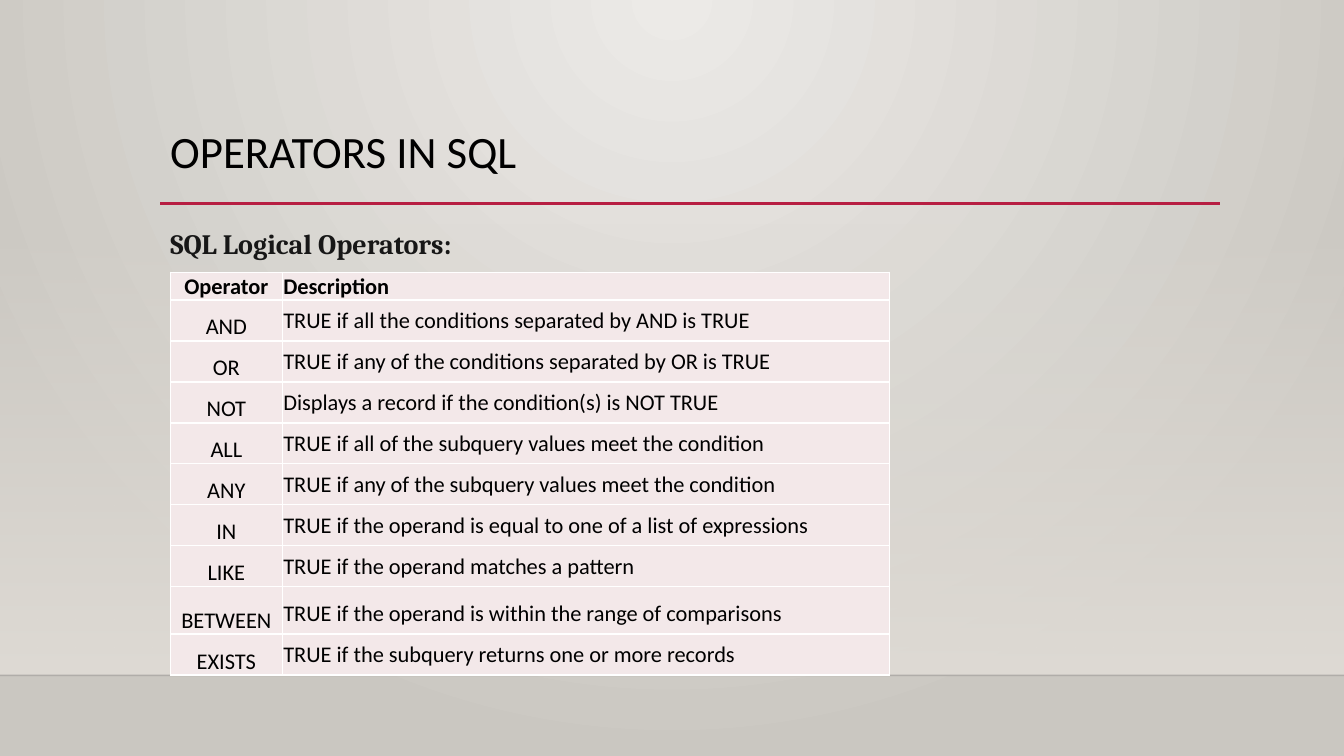
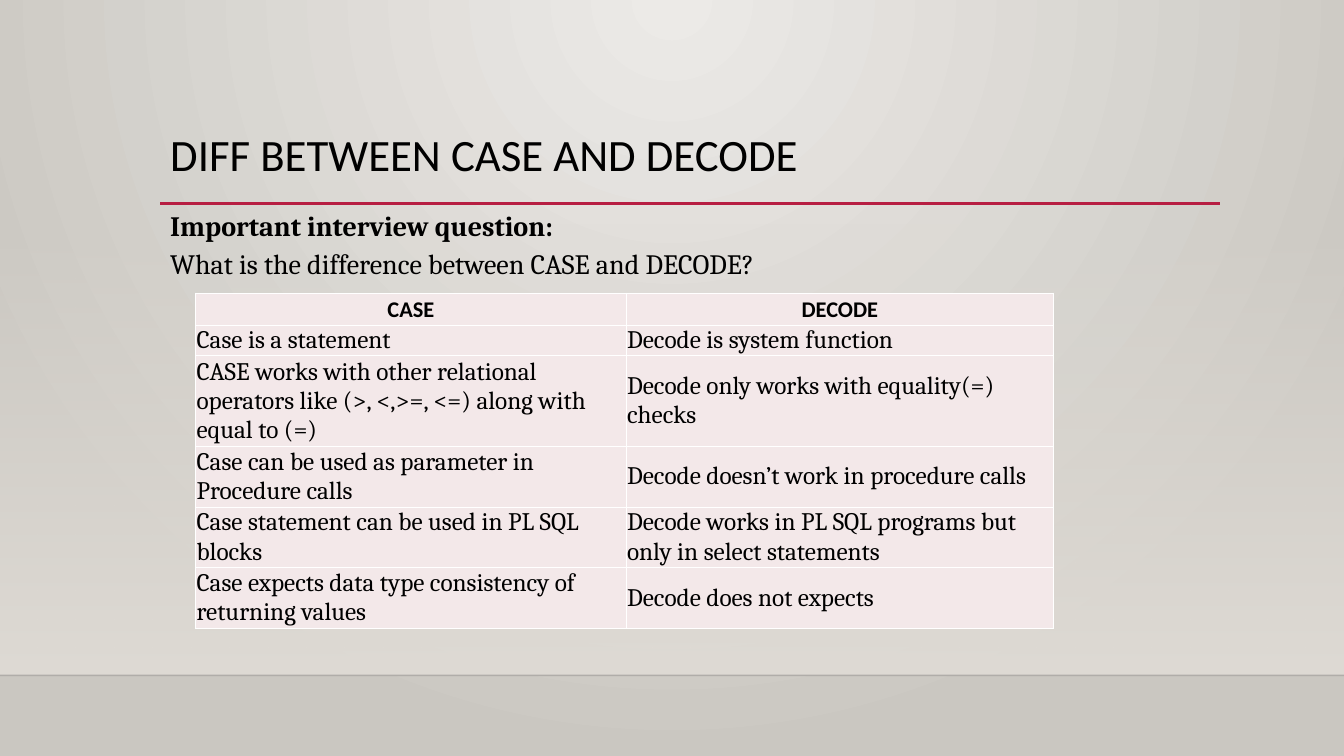
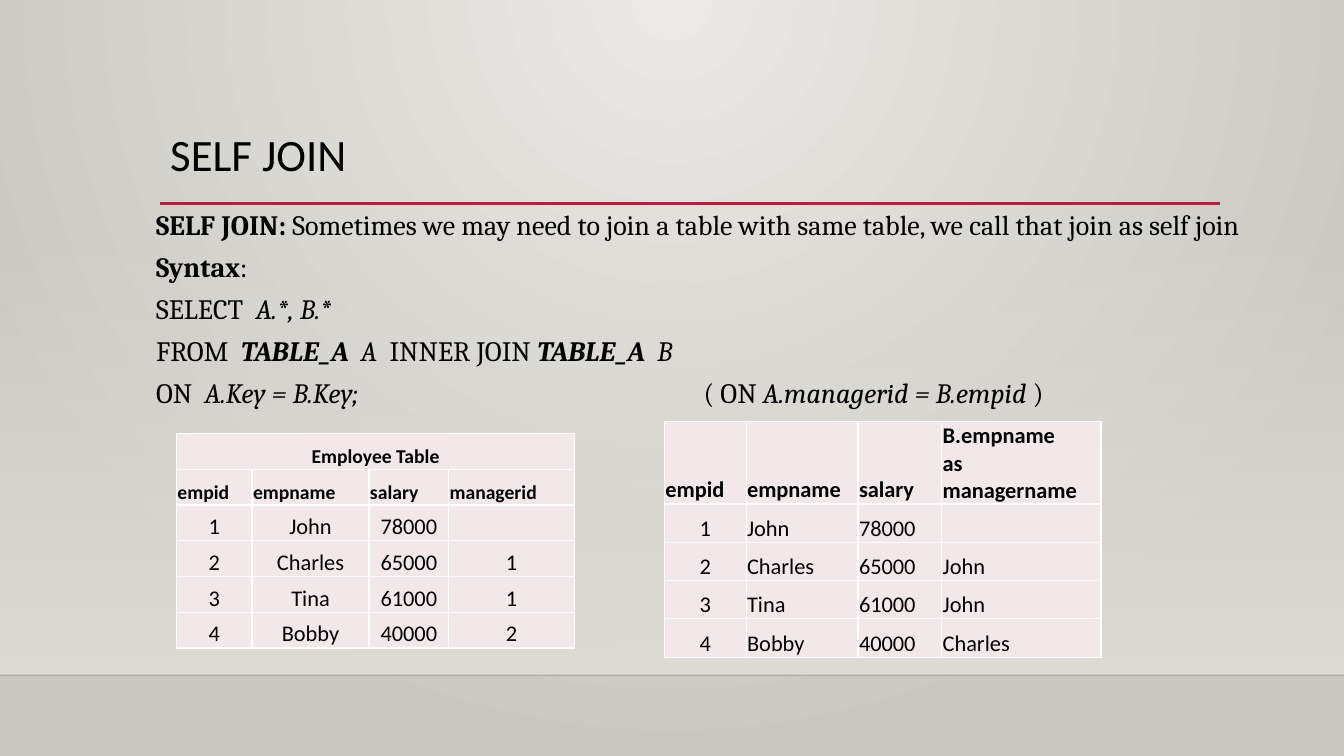
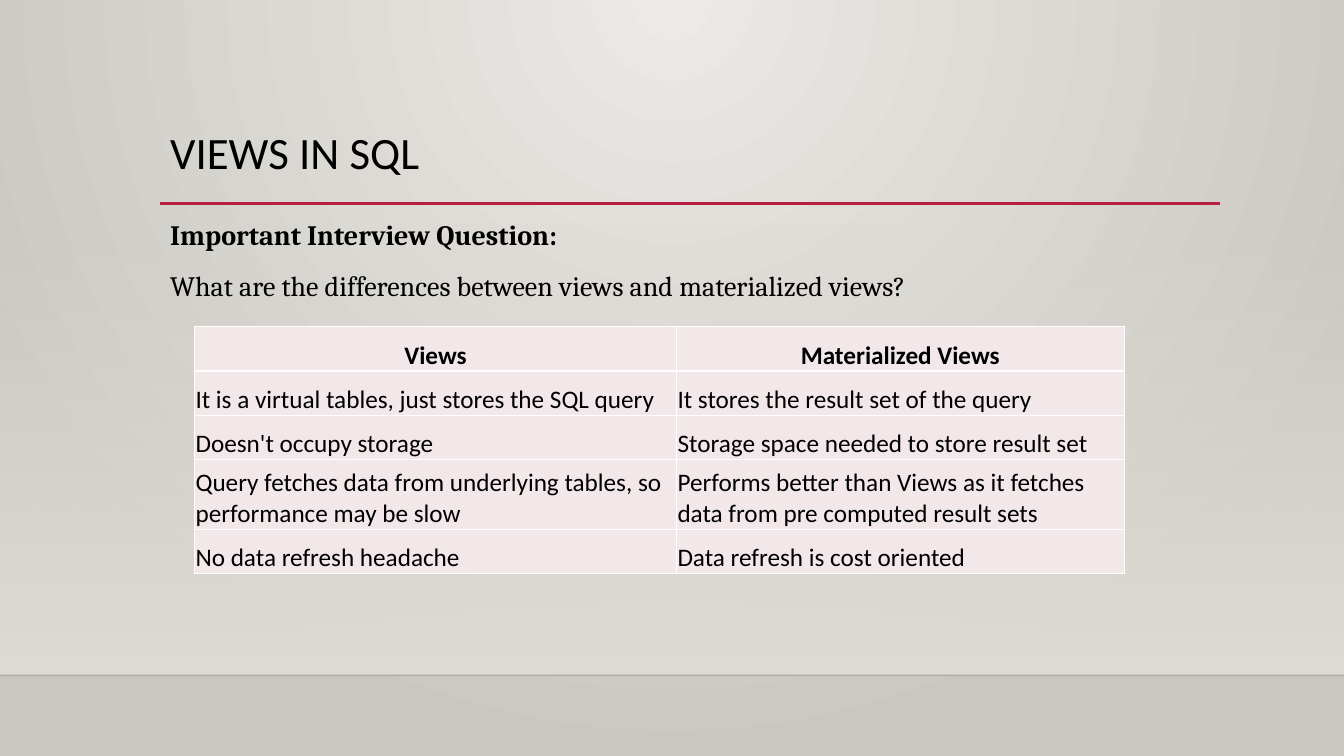
"""Build four slides on SQL operators, joins and views."""
from lxml.etree import SubElement as Sub
from pptx import Presentation
from pptx.dml.color import RGBColor as Rgb
from pptx.enum.shapes import MSO_CONNECTOR as Link, MSO_SHAPE as Form
from pptx.enum.text import MSO_ANCHOR as Anchor, PP_ALIGN as Align
from pptx.oxml.ns import qn
from pptx.util import Inches, Pt

HUES = {"ink": "000000", "soft": "171717", "edge": "000001", "rule": "B71E42",
        "cell": "F3E8E9", "grid": "FFFFFF", "glow": "ECEAE7", "rim": "CAC7C1",
        "band": "DFDBD5"}
SANS, SERIF = "Calibri", "Cambria"
ALIGN = {"l": Align.LEFT, "c": Align.CENTER}
WIDE, TALL = 13.33, 7.5


def hue(name):
    """Return the named colour."""
    return Rgb.from_string(HUES[name])


def tint(parent, name, alpha=100):
    """Add a colour element with its opacity in percent."""
    clr = Sub(parent, qn("a:srgbClr"), val=HUES[name])
    if alpha < 100:
        Sub(clr, qn("a:alpha"), val=str(alpha * 1000))


def blend(grad, stops):
    """Empty a gradient and give it new stops."""
    for child in list(grad):
        grad.remove(child)
    row = Sub(grad, qn("a:gsLst"))
    for pos, name, alpha in stops:
        tint(Sub(row, qn("a:gs"), pos=str(pos * 1000)), name, alpha)


def backdrop(master):
    """Give the master its round glow from the top."""
    master.background.fill.gradient()
    grad = next(master.element.iter(qn("a:gradFill")))
    blend(grad, [(0, "glow", 100), (100, "rim", 100)])
    way = Sub(grad, qn("a:path"), path="circle")
    Sub(way, qn("a:fillToRect"), l="43000", t="0", r="43000", b="100000")


def rule(slide, left, right, top, name, width, alpha=100):
    """Draw a level line."""
    line = slide.shapes.add_connector(
        Link.STRAIGHT, Inches(left), Inches(top), Inches(right), Inches(top))
    line.line.width = Pt(width)
    line.line.color.rgb = hue(name)
    props = line.element.spPr
    if alpha < 100:
        clr = next(props.iter(qn("a:srgbClr")))
        Sub(clr, qn("a:alpha"), val=str(alpha * 1000))
    Sub(props, qn("a:effectLst"))


def style(run, size, face, name="ink", marks=""):
    """Set the font of a run; marks holds b and i."""
    font = run.font
    font.size, font.name = Pt(size), face
    font.color.rgb = hue(name)
    font.bold, font.italic = "b" in marks, "i" in marks


def lines(frame, count):
    """Yield the given number of paragraphs of a frame."""
    yield frame.paragraphs[0]
    for _ in range(count - 1):
        yield frame.add_paragraph()


def box(slide, left, top, width, height):
    """Add a wrapping text box and return its frame."""
    frame = slide.shapes.add_textbox(
        Inches(left), Inches(top), Inches(width), Inches(height)).text_frame
    frame.word_wrap = True
    return frame


def page(deck, title, top):
    """Add a slide with band, rules and title."""
    slide = deck.slides.add_slide(deck.slide_layouts[6])
    band = slide.shapes.add_shape(
        Form.RECTANGLE, 0, Inches(2.21), Inches(WIDE), Inches(4.49))
    band.shadow.inherit = False
    band.line.fill.background()
    band.fill.gradient()
    grad = band.element.spPr.find(qn("a:gradFill"))
    blend(grad, [(0, "band", 0), (100, "band", 100)])
    Sub(grad, qn("a:lin"), ang="5400000", scaled="0")
    rule(slide, 0, WIDE, 6.7, "edge", 1, 20)
    rule(slide, 1.59, 12.1, 2.02, "rule", 2.5)
    para = box(slide, 1.59, top, 10.5, 0.75).paragraphs[0]
    para.line_spacing = 0.9
    run = para.add_run()
    run.text = title
    style(run, 32, SANS)
    return slide


def body(slide, area, paras, before=3, after=0, name="ink", tab=None):
    """Write paragraphs of (text, marks) runs, with one tab stop if given."""
    frame = box(slide, *area)
    for para, runs in zip(lines(frame, len(paras)), paras):
        para.space_before, para.space_after = Pt(before), Pt(after)
        if tab:
            stops = Sub(para._p.get_or_add_pPr(), qn("a:tabLst"))
            Sub(stops, qn("a:tab"), pos=str(Inches(tab)), algn="l")
        for text, marks in runs:
            run = para.add_run()
            run.text = text
            style(run, 20, SERIF, name, marks)


def frame_cell(cell):
    """Fill a cell and draw its four borders."""
    cell.fill.solid()
    cell.fill.fore_color.rgb = hue("cell")
    props = cell._tc.get_or_add_tcPr()
    for spot, side in enumerate("LRTB"):
        line = Sub(props, qn(f"a:ln{side}"), w=str(Pt(1)))
        tint(Sub(line, qn("a:solidFill")), "grid")
        props.insert(spot, line)


def grid(slide, left, top, cols, rows, data, heads, tail,
         sizes=(16, 16), face=SANS, anchor=Anchor.BOTTOM, pads=None):
    """Add a table; heads and tail give the alignment of each column."""
    table = slide.shapes.add_table(
        len(rows), len(cols), Inches(left), Inches(top),
        Inches(sum(cols)), Inches(sum(rows))).table
    table.first_row = table.horz_banding = False
    for col, width in zip(table.columns, cols):
        col.width = Inches(width)
    for r, height in enumerate(rows):
        table.rows[r].height = Inches(height)
        head = r < len(heads)
        sides = heads[r] if head else tail
        size, font = (sizes[0], SANS) if head else (sizes[1], face)
        for c in range(len(cols)):
            cell = table.cell(r, c)
            frame_cell(cell)
            cell.vertical_anchor = anchor
            pad = pads[c] if pads and not head else (0.01, 0)
            cell.margin_left = cell.margin_right = Inches(0.01)
            cell.margin_top, cell.margin_bottom = map(Inches, pad)
            if c >= len(data[r]) or not data[r][c]:
                continue
            texts = data[r][c].split("\n")
            for para, text in zip(lines(cell.text_frame, len(texts)), texts):
                para.alignment = ALIGN[sides[c]]
                run = para.add_run()
                run.text = text
                style(run, size, font, marks="b" if head else "")
        if len(data[r]) < len(cols):
            table.cell(r, 0).merge(table.cell(r, len(cols) - 1))


def logic(deck):
    """Build the slide of logical operators."""
    slide = page(deck, "OPERATORS IN SQL", 1.24)
    body(slide, (1.59, 2.2, 10.72, 4.4),
         [[("SQL Logical Operators:", "b")]], name="soft")
    data = [
        ("Operator", "Description"),
        ("AND", "TRUE if all the conditions separated by AND is TRUE"),
        ("OR", "TRUE if any of the conditions separated by OR is TRUE"),
        ("NOT", "Displays a record if the condition(s) is NOT TRUE"),
        ("ALL", "TRUE if all of the subquery values meet the condition"),
        ("ANY", "TRUE if any of the subquery values meet the condition"),
        ("IN", "TRUE if the operand is equal to one of a list of expressions"),
        ("LIKE", "TRUE if the operand matches a pattern"),
        ("BETWEEN", "TRUE if the operand is within the range of comparisons"),
        ("EXISTS", "TRUE if the subquery returns one or more records"),
    ]
    grid(slide, 1.69, 2.7, [1.11, 6.02], [0.25] + [0.4] * 7 + [0.47, 0.4],
         data, ["cl"], "cl", pads=[(0.01, 0), (0.07, 0.07)])


def decode(deck):
    """Build the slide that sets CASE against DECODE."""
    slide = page(deck, "DIFF BETWEEN CASE AND DECODE", 1.27)
    body(slide, (1.59, 2.02, 10.86, 4.57),
         [[("Important interview question:", "b")],
          [("What is the difference between CASE and DECODE?", "")]])
    data = [
        ("CASE", "DECODE"),
        ("Case is a statement", "Decode is system function"),
        ("CASE works with other relational operators like (>, <,>=, <=) "
         "along with equal to (=)",
         "Decode only works with equality(=) checks"),
        ("Case can be used as parameter in Procedure calls",
         "Decode doesn’t work in procedure calls"),
        ("Case statement can be used in PL SQL blocks",
         "Decode works in PL SQL programs but only in select statements"),
        ("Case expects data type consistency of returning values",
         "Decode does not expects"),
    ]
    grid(slide, 1.94, 2.91, [4.27, 4.24], [0.32, 0.3, 0.58, 0.51, 0.51, 0.37],
         data, ["cc"], "ll", (16, 18), SERIF, Anchor.MIDDLE, [(0, 0)] * 2)


def join(deck):
    """Build the slide of the self join."""
    slide = page(deck, "SELF JOIN", 1.27)
    body(slide, (1.45, 2.01, 11.02, 4.57), [
        [("SELF JOIN:", "b"),
         (" Sometimes we may need to join a table with same table, "
          "we call that join as self join", "")],
        [("Syntax", "b"), (":", "")],
        [("SELECT  ", ""), ("A.*, B.*", "i")],
        [("FROM  ", ""), ("TABLE_A  ", "bi"), ("A  ", "i"),
         ("INNER JOIN ", ""), ("TABLE_A  ", "bi"), ("B", "i")],
        [("ON  ", ""), ("A.Key = B.Key;\t", "i"), ("( ON ", ""),
         ("A.managerid = B.empid ", "i"), (")", "")],
    ], after=3, tab=5.43)
    staff = [("1", "John", "78000", ""), ("2", "Charles", "65000", "1"),
             ("3", "Tina", "61000", "1"), ("4", "Bobby", "40000", "2")]
    names = {row[0]: row[1] for row in staff}
    heads = ("empid", "empname", "salary")
    grid(slide, 1.75, 4.3, [0.75, 1.16, 0.79, 1.25], [0.355] * 6,
         [("Employee Table",), heads + ("managerid",)] + staff,
         ["cccc", "llll"], "cccc", (14, 16))
    pairs = [row[:3] + (names.get(row[3], ""),) for row in staff]
    grid(slide, 6.59, 4.18, [0.81, 1.11, 0.83, 1.58], [0.82] + [0.38] * 4,
         [heads + ("B.empname\nas managername",)] + pairs, ["llll"], "clll")


def views(deck):
    """Build the slide that sets views against materialized views."""
    slide = page(deck, "VIEWS IN SQL", 1.25)
    body(slide, (1.59, 2.11, 10.86, 4.54),
         [[("Important Interview Question:", "b")],
          [("What are the differences between views and "
            "materialized views?", "")]], before=12)
    data = [
        ("Views", "Materialized Views"),
        ("It is a virtual tables, just stores the SQL query",
         "It stores the result set of the query"),
        ("Doesn't occupy storage", "Storage space needed to store result set"),
        ("Query fetches data from underlying tables, so performance may be slow",
         "Performs better than Views as it fetches data from pre computed "
         "result sets"),
        ("No data refresh headache", "Data refresh is cost oriented"),
    ]
    grid(slide, 1.93, 3.24, [4.78, 4.44], [0.44, 0.44, 0.44, 0.69, 0.44],
         data, ["cc"], "ll", (18, 18))


def main():
    """Build and save the deck."""
    deck = Presentation()
    deck.slide_width, deck.slide_height = Inches(WIDE), Inches(TALL)
    backdrop(deck.slide_master)
    for build in (logic, decode, join, views):
        build(deck)
    deck.save("out.pptx")


if __name__ == "__main__":
    main()
